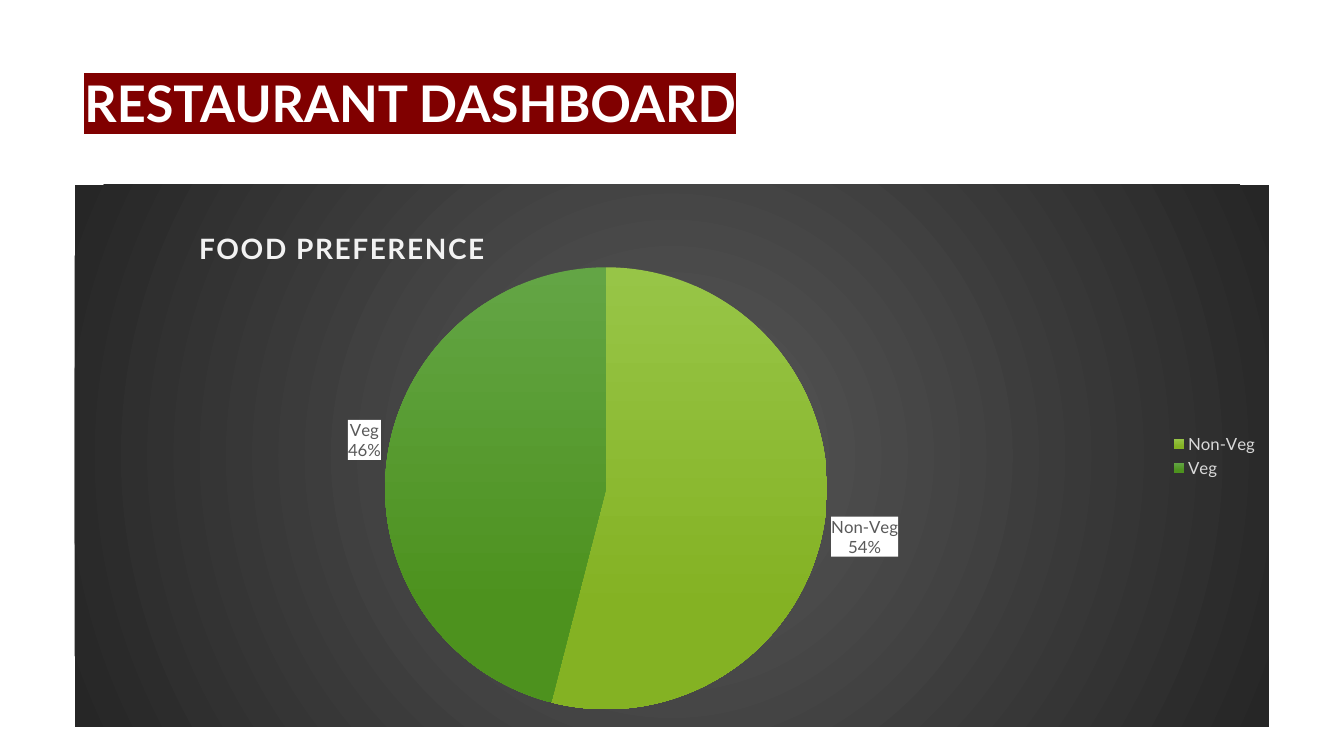
from dataclasses import dataclass

from lxml import etree
from pptx import Presentation
from pptx.chart.chart import Chart
from pptx.chart.data import CategoryChartData
from pptx.dml.color import RGBColor
from pptx.enum.chart import XL_CHART_TYPE as ChartType
from pptx.enum.chart import XL_LABEL_POSITION as LabelPos
from pptx.enum.chart import XL_LEGEND_POSITION as LegendPos
from pptx.oxml import parse_xml
from pptx.oxml.ns import nsdecls, qn
from pptx.util import Cm, Pt

FONT = "Lato"
WHITE = RGBColor(0xFF, 0xFF, 0xFF)
MAROON = RGBColor(0x80, 0x00, 0x00)
TITLE_GREY = RGBColor(0xF2, 0xF2, 0xF2)
LEGEND_GREY = RGBColor(0xD9, 0xD9, 0xD9)
LABEL_GREY = RGBColor(0x59, 0x59, 0x59)
PANEL_CENTRE = RGBColor(0x59, 0x59, 0x59)
PANEL_EDGE = RGBColor(0x26, 0x26, 0x26)


@dataclass(frozen=True)
class Slice:
    name: str
    share: int
    top: RGBColor
    bottom: RGBColor


SLICES = [
    Slice("Non-Veg", 54, RGBColor(0x97, 0xC5, 0x47), RGBColor(0x84, 0xB2, 0x23)),
    Slice("Veg", 46, RGBColor(0x63, 0xA5, 0x45), RGBColor(0x4D, 0x92, 0x1E)),
]


def style_font(font, size: int, color: RGBColor, bold: bool = False) -> None:
    font.name, font.size, font.bold = FONT, Pt(size), bold
    font.color.rgb = color


def add_heading(s, text: str) -> None:
    tf = s.shapes.add_textbox(Cm(1.88), Cm(1.7), Cm(23.88), Cm(2.6)).text_frame
    tf.word_wrap = True
    r = tf.paragraphs[0].add_run()
    r.text = text
    style_font(r.font, 36, WHITE, bold=True)
    highlight = parse_xml(
        f'<a:highlight {nsdecls("a")}><a:srgbClr val="{MAROON}"/></a:highlight>'
    )
    r.font._element.find(qn("a:solidFill")).addnext(highlight)


def set_layout(parent, index: int, **fractions: float) -> None:
    for old in parent.findall(qn("c:layout")):
        parent.remove(old)
    layout = etree.Element(qn("c:layout"))
    manual = etree.SubElement(layout, qn("c:manualLayout"))
    if "w" in fractions:
        etree.SubElement(manual, qn("c:layoutTarget"), val="inner")
    for axis in "xy":
        etree.SubElement(manual, qn(f"c:{axis}Mode"), val="edge")
    for key, value in fractions.items():
        etree.SubElement(manual, qn(f"c:{key}"), val=str(value))
    parent.insert(index, layout)


def shape_props(fill: str):
    return parse_xml(
        f'<c:spPr {nsdecls("c", "a")}>{fill}<a:ln><a:noFill/></a:ln></c:spPr>'
    )


def fill_panel(chart: Chart) -> None:
    fill = (
        f'<a:gradFill><a:gsLst><a:gs pos="0"><a:srgbClr val="{PANEL_CENTRE}"/></a:gs>'
        f'<a:gs pos="100000"><a:srgbClr val="{PANEL_EDGE}"/></a:gs></a:gsLst>'
        '<a:path path="circle"><a:fillToRect l="50000" t="50000" r="50000" b="50000"/>'
        "</a:path></a:gradFill>"
    )
    chart._chartSpace.find(qn("c:chart")).addnext(shape_props(fill))


def title_chart(chart: Chart, text: str) -> None:
    chart.has_title = True
    title = chart.chart_title
    r = title.text_frame.paragraphs[0].add_run()
    r.text = text
    style_font(r.font, 20, TITLE_GREY, bold=True)
    r.font._element.set("spc", "100")
    set_layout(title._element, 1, x=0.1, y=0.07)


def color_slices(series) -> None:
    for i, item in enumerate(SLICES):
        fill = series.points[i].format.fill
        fill.gradient()
        fill.gradient_angle = 270
        stops = zip(fill.gradient_stops, (item.top, item.bottom), (0, 0.78))
        for stop, color, position in stops:
            stop.color.rgb = color
            stop.position = position


def label_slices(series) -> None:
    labels = series.data_labels
    labels.show_value = False
    labels.show_category_name = labels.show_percentage = True
    labels.number_format, labels.number_format_is_linked = "0%", False
    labels.position = LabelPos.OUTSIDE_END
    style_font(labels.font, 12, LABEL_GREY)
    node = labels._element
    white = f'<a:solidFill><a:srgbClr val="{WHITE}"/></a:solidFill>'
    node.find(qn("c:txPr")).addprevious(shape_props(white))
    separator = etree.Element(qn("c:separator"))
    separator.text = "\n"
    node.find(qn("c:showBubbleSize")).addnext(separator)


def add_preference_pie(s) -> None:
    data = CategoryChartData()
    data.categories = [item.name for item in SLICES]
    data.add_series("Series 1", [item.share for item in SLICES])
    chart = s.shapes.add_chart(
        ChartType.PIE, Cm(1.88), Cm(4.65), Cm(30.1), Cm(13.67), data
    ).chart
    chart.font.name, chart.font.size = FONT, Pt(10)
    fill_panel(chart)
    title_chart(chart, "FOOD PREFERENCE")
    chart.has_legend = True
    chart.legend.position = LegendPos.RIGHT
    chart.legend.include_in_layout = False
    style_font(chart.legend.font, 12, LEGEND_GREY)
    plot = chart.plots[0]
    plot.vary_by_categories = True
    color_slices(plot.series[0])
    label_slices(plot.series[0])
    plot_area = chart._chartSpace.find(qn("c:chart")).find(qn("c:plotArea"))
    set_layout(plot_area, 0, x=0.26, y=0.15, w=0.37, h=0.82)


def main() -> None:
    prs = Presentation()
    prs.slide_width, prs.slide_height = Cm(33.87), Cm(19.05)
    s = prs.slides.add_slide(prs.slide_layouts[6])
    add_heading(s, "RESTAURANT DASHBOARD")
    add_preference_pie(s)
    prs.save("out.pptx")


if __name__ == "__main__":
    main()
